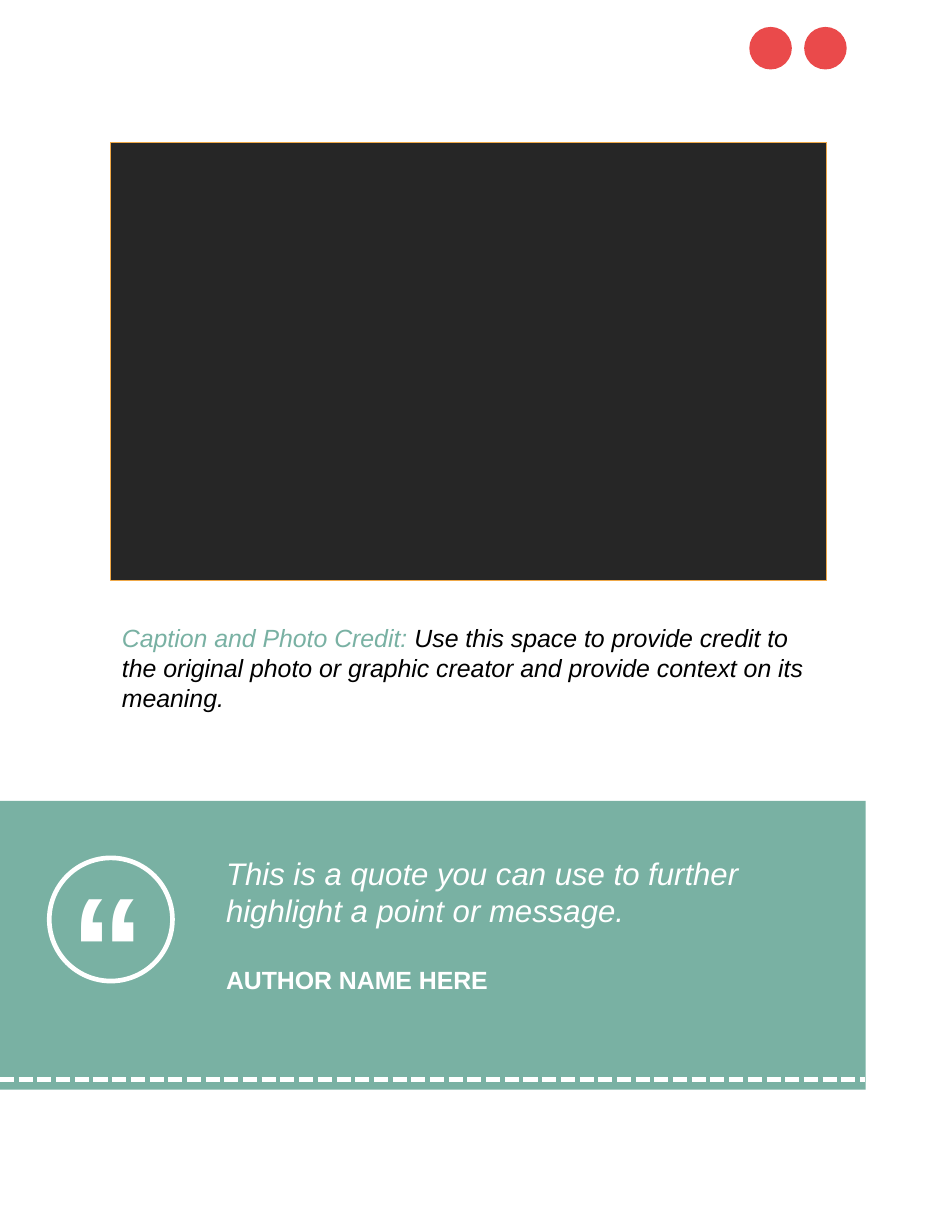
from pptx import Presentation
from pptx.dml.color import RGBColor
from pptx.enum.dml import MSO_LINE
from pptx.enum.shapes import MSO_CONNECTOR, MSO_SHAPE
from pptx.enum.text import MSO_AUTO_SIZE
from pptx.oxml.ns import qn
from pptx.util import Inches, Pt
from lxml.etree import SubElement

GREEN = RGBColor(0x79, 0xB1, 0xA3)
CHARCOAL = RGBColor(0x26, 0x26, 0x26)
ORANGE = RGBColor(0xEF, 0xA8, 0x47)
RED = RGBColor(0xEA, 0x4A, 0x4B)
WHITE = RGBColor(0xFF, 0xFF, 0xFF)
BLACK = RGBColor(0, 0, 0)

deck = Presentation()
deck.slide_width, deck.slide_height = Inches(8.5), Inches(11)
page = deck.slides.add_slide(deck.slide_layouts[6])


def add_figure(kind, left, top, width, height, fill=None, line=None, weight=0):
    shape = page.shapes.add_shape(
        kind, Inches(left), Inches(top), Inches(width), Inches(height))
    shape.shadow.inherit = False
    if fill is None:
        shape.fill.background()
    else:
        shape.fill.solid()
        shape.fill.fore_color.rgb = fill
    if line is None:
        shape.line.fill.background()
    else:
        shape.line.color.rgb = line
        shape.line.width = Pt(weight)


def add_text(left, top, width, height, paragraphs):
    """Each paragraph is a list of (text, size, color, bold, italic) runs."""
    box = page.shapes.add_textbox(
        Inches(left), Inches(top), Inches(width), Inches(height))
    frame = box.text_frame
    frame.word_wrap = True
    frame.auto_size = MSO_AUTO_SIZE.SHAPE_TO_FIT_TEXT
    for index, runs in enumerate(paragraphs):
        para = frame.add_paragraph() if index else frame.paragraphs[0]
        for text, size, color, bold, italic in runs:
            span = para.add_run()
            span.text = text
            span.font.name = "Arial"
            span.font.size = Pt(size)
            span.font.color.rgb = color
            span.font.bold = bold
            span.font.italic = italic
    return frame


# Quote band and photo area
add_figure(MSO_SHAPE.RECTANGLE, 0, 7.15, 7.73, 2.58, fill=GREEN)
add_figure(MSO_SHAPE.RECTANGLE, 0.99, 1.27, 6.39, 3.91, CHARCOAL, ORANGE, 0.75)

# Caption
add_text(0.99, 5.51, 6.39, 0.9, [[
    ("Caption and Photo Credit: ", 16, GREEN, False, True),
    ("Use this space to provide credit to the original photo or graphic "
     "creator and provide context on its meaning.", 16, BLACK, False, True),
]])

# Quote and author
quote = add_text(1.92, 7.58, 5.63, 1.37, [
    [("This is a quote you can use to further highlight a point or message.",
      20, WHITE, False, True)],
    [("AUTHOR NAME HERE", 16, WHITE, True, False)],
])
quote.paragraphs[1].space_before = Pt(23)

# Quotation mark in a ring
add_text(0.53, 7.57, 0.82, 1.7, [[("“", 96, WHITE, True, False)]])
add_figure(MSO_SHAPE.OVAL, 0.44, 7.66, 1.1, 1.1, line=WHITE, weight=3)

# Dashed stitch along the band
stitch = page.shapes.add_connector(
    MSO_CONNECTOR.STRAIGHT, Inches(0), Inches(9.64), Inches(7.72), Inches(9.64))
stitch.line.color.rgb = WHITE
stitch.line.width = Pt(3)
stitch.line.dash_style = MSO_LINE.SQUARE_DOT
stitch.line._ln.find(qn("a:prstDash")).set("val", "sysDash")
SubElement(stitch._element.spPr, qn("a:effectLst"))

# Corner dots
for left in (6.69, 7.18):
    add_figure(MSO_SHAPE.OVAL, left, 0.24, 0.38, 0.38, fill=RED)

deck.save("out.pptx")
